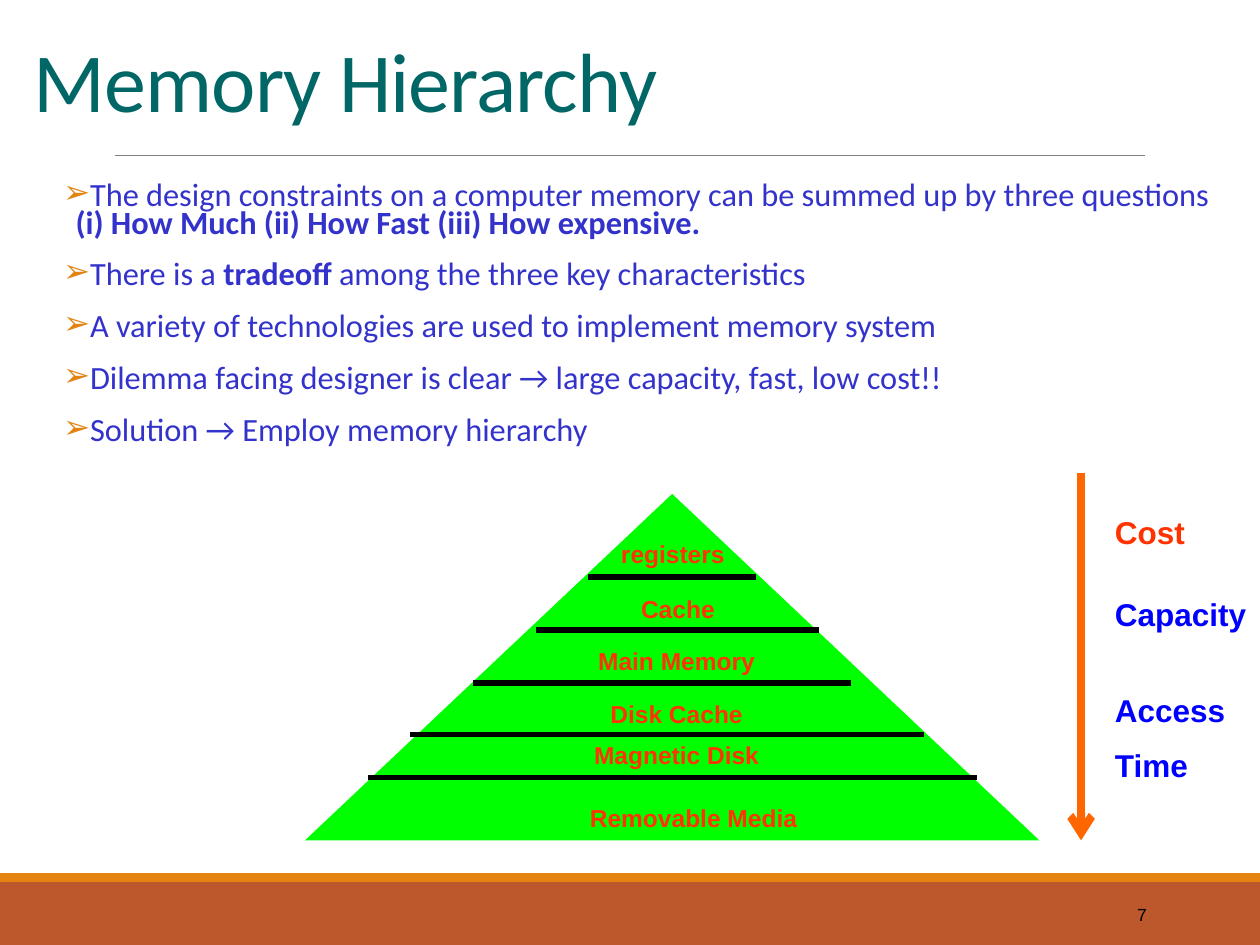
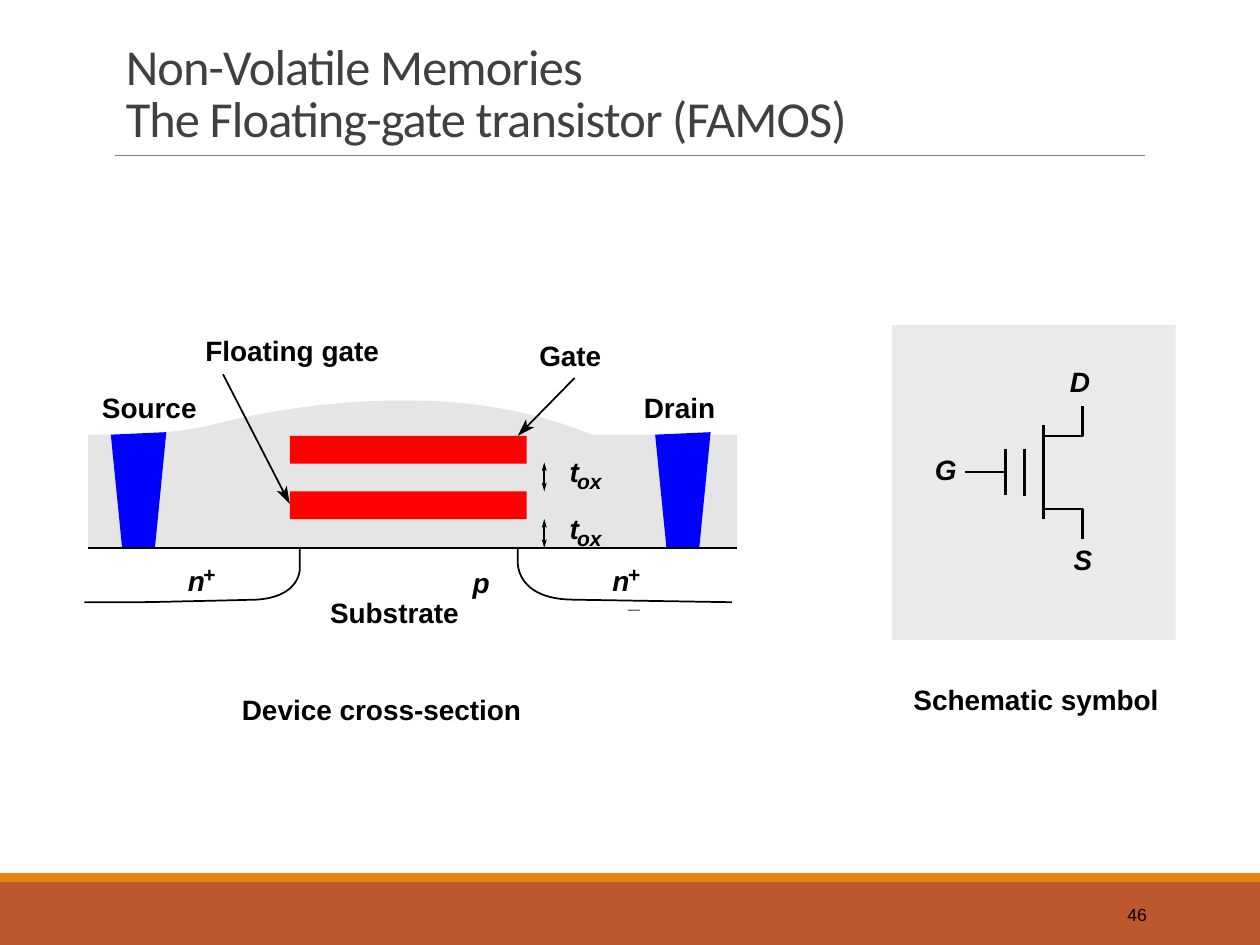
import math
import pptx
import pptx.util
import pptx.dml.color
import pptx.enum.shapes
import pptx.enum.text
from lxml import etree

COLORS = {
    "band": "BD582C", "accent": "E48312", "rule": "808080", "black": "000000",
    "teal": "006666", "title": "404040", "body": "3333CC", "pyramid": "00FF00",
    "red_text": "FF3300", "arrow": "FF6600", "blue": "0000FF", "gate": "FF0000",
    "oxide": "E5E5E5", "panel": "EAEAEA",
}
COLUMNS, ROWS = 100, 75
CELL = pptx.util.Inches(10) // COLUMNS
A = "{http://schemas.openxmlformats.org/drawingml/2006/main}"
PRESETS = pptx.enum.shapes.MSO_SHAPE
ALIGN = pptx.enum.text.PP_ALIGN
ANCHOR = pptx.enum.text.MSO_ANCHOR
PARAGRAPH_KEYS = ("alignment", "line_spacing", "space_before", "space_after")
DIAGRAM = {"name": "Arial", "size": pptx.util.Pt(16), "bold": True}


def cells(*lengths):
    return [round(length * CELL) for length in lengths]


def rgb(color):
    return pptx.dml.color.RGBColor.from_string(COLORS[color])


def paint(shape, fill=None, line=None, weight=1):
    shape.shadow.inherit = False
    if fill:
        shape.fill.solid()
        shape.fill.fore_color.rgb = rgb(fill)
    else:
        shape.fill.background()
    if line:
        shape.line.color.rgb = rgb(line)
        shape.line.width = pptx.util.Pt(weight)
    else:
        shape.line.fill.background()
    return shape


def block(slide, box, fill, preset=PRESETS.RECTANGLE):
    return paint(slide.shapes.add_shape(preset, *cells(*box)), fill)


def stroke(slide, start, end, color="black", weight=1, tip=None):
    """Straight line, with an arrowhead at the end if tip is given."""
    line = slide.shapes.add_connector(pptx.enum.shapes.MSO_CONNECTOR.STRAIGHT,
                                      *cells(*start, *end))
    line.line.color.rgb = rgb(color)
    line.line.width = pptx.util.Pt(weight)
    if tip:
        etree.SubElement(line.line._get_or_add_ln(), A + "tailEnd", type=tip)
    etree.SubElement(line._element.spPr, A + "effectLst")


def bezier(p0, p1, p2, p3, steps=24):
    for i in range(1, steps + 1):
        t = i / steps
        u = 1 - t
        yield tuple(u**3 * a + 3 * u * u * t * b + 3 * u * t * t * c + t**3 * d
                    for a, b, c, d in zip(p0, p1, p2, p3))


def outline(slide, start, parts, fill=None, weight=1):
    """Free outline; a part is a point (x, y) or a curve of three points.

    With a fill it is closed and has no line; without one it is an open line."""
    points = [start]
    for part in parts:
        if isinstance(part[0], tuple):
            points.extend(bezier(points[-1], *part))
        else:
            points.append(part)
    builder = slide.shapes.build_freeform(*cells(*start), scale=1.0)
    builder.add_line_segments([cells(*p) for p in points[1:]], close=bool(fill))
    return paint(builder.convert_to_shape(), fill, None if fill else "black", weight)


def pointer(slide, start, tip, length=1.4, half_width=0.45, both=False):
    """Thin line with a slim, notched head at the tip, or at both ends."""
    reach = math.dist(start, tip)
    along = [(b - a) / reach for a, b in zip(start, tip)]

    def place(end, back, side=0):
        return (end[0] - back * along[0] - side * along[1],
                end[1] - back * along[1] + side * along[0])

    notch = 0.75 * length
    stroke(slide, place(start, -notch) if both else start, place(tip, notch))
    for end, sign in ((tip, 1), (start, -1))[:2 if both else 1]:
        outline(slide, end, [place(end, sign * length, half_width),
                             place(end, sign * notch),
                             place(end, sign * length, -half_width)], "black")


def add_bullet(paragraph):
    properties = paragraph._p.get_or_add_pPr()
    for name, indent in (("marL", 1), ("indent", -1)):
        properties.set(name, str(indent * CELL))
    color = etree.SubElement(properties, A + "buClr")
    etree.SubElement(color, A + "srgbClr", val=COLORS["accent"])
    etree.SubElement(properties, A + "buFont", typeface="Calibri")
    etree.SubElement(properties, A + "buChar", char="➢")


def write(slide, box, paragraphs, color="black", anchor=ANCHOR.TOP, wrap=True,
          margins=None, bullets=False, spacing=None, **style):
    """Text box; a paragraph is a string or a list of (text, bold) runs."""
    frame = slide.shapes.add_textbox(*cells(*box)).text_frame
    frame.word_wrap = wrap
    frame.vertical_anchor = anchor
    if not wrap:
        frame.auto_size = pptx.enum.text.MSO_AUTO_SIZE.SHAPE_TO_FIT_TEXT
    if margins:
        for side, margin in zip(("left", "top", "right", "bottom"), margins):
            setattr(frame, "margin_" + side, round(margin * CELL))
    for i, content in enumerate(paragraphs):
        paragraph = frame.add_paragraph() if i else frame.paragraphs[0]
        if bullets:
            add_bullet(paragraph)
        for key in PARAGRAPH_KEYS:
            if key in style and (i or key != "space_before"):
                setattr(paragraph, key, style[key])
        if isinstance(content, str):
            paragraph.text = content
        else:
            for text, bold in content:
                run = paragraph.add_run()
                run.text, run.font.bold = text, bold
        for run in paragraph.runs:
            for key, value in style.items():
                if key not in PARAGRAPH_KEYS:
                    setattr(run.font, key, value)
            run.font.color.rgb = rgb(color)
            if spacing:
                run._r.get_or_add_rPr().set("spc", str(spacing))


def label(slide, left, top, width, text, small=False, italic=False):
    style = DIAGRAM | {"italic": italic}
    if small:
        style["size"] = pptx.util.Pt(12)
    write(slide, (left, top, width, 2 if small else 2.7), [text], wrap=False,
          margins=(0, 0, 0, 0), **style)


def start_slide(deck, title, title_box, title_size, title_color, number):
    slide = deck.slides.add_slide(deck.slide_layouts[6])
    block(slide, (0, 70, COLUMNS, 5), "band")
    block(slide, (0, 69.3, COLUMNS, 0.7), "accent")
    stroke(slide, (9.1, 12.3), (90.9, 12.3), "rule", 0.5)
    write(slide, title_box, [title], title_color, ANCHOR.BOTTOM, spacing=-50,
          line_spacing=0.85, name="Calibri", size=pptx.util.Pt(title_size))
    write(slide, (81.2, 70.6, 10.8, 4), [str(number)], anchor=ANCHOR.MIDDLE,
          alignment=ALIGN.RIGHT, name="Arial", size=pptx.util.Pt(10))
    return slide


def memory_pyramid(slide):
    block(slide, (24.2, 39.2, 58.3, 27.5), "pyramid", PRESETS.ISOSCELES_TRIANGLE)
    for left, right, y in ((46.7, 60, 45.8), (42.5, 65, 50), (37.5, 67.5, 54.2),
                           (32.5, 73.3, 58.3), (29.2, 77.5, 61.7)):
        stroke(slide, (left, y), (right, y), weight=3)
    for name, left, top, width in (
            ("registers", 46.3, 42.3, 14.2), ("Cache", 46.7, 46.7, 14.2),
            ("Main Memory", 45.8, 50.8, 15.8), ("Disk Cache", 45.8, 55, 15.8),
            ("Magnetic Disk", 45.8, 58.3, 15.8), ("Removable Media", 44.2, 63.3, 21.7)):
        write(slide, (left, top, width, 3.3), [name], "red_text", ANCHOR.BOTTOM,
              alignment=ALIGN.CENTER, **DIAGRAM | {"size": pptx.util.Pt(14)})


def trend_arrow(slide):
    stroke(slide, (85.8, 37.5), (85.8, 66.7), "arrow", 4.5, "arrow")
    for words, top, height, color in ((["Cost"], 40.2, 4, "red_text"),
                                      (["Capacity"], 46.7, 4, "blue"),
                                      (["Access", "Time"], 54.2, 8.5, "blue")):
        write(slide, (87.5, top, 12.5, height), words, color, ANCHOR.BOTTOM,
              space_before=pptx.util.Pt(10), **DIAGRAM | {"size": pptx.util.Pt(18)})


def cross_section(slide):
    surface = 43.5
    outline(slide, (32.8, 31.8), [
        ((41.2, 31.8), (46.9, 34.5), (46.9, 34.5)), (58.5, 34.5), (58.5, surface),
        (7, surface), (7, 34.5), (8.8, 34.5),
        ((8.8, 34.5), (13.9, 34.5), (16.9, 33.7)),
        ((16.9, 33.7), (24.4, 31.6), (32.8, 31.8))], "oxide")
    outline(slide, (41.1, surface), [
        (41.1, 44.6), ((41.1, 44.6), (40.9, 47.6), (45.6, 47.6)), (58.1, 47.8)])
    outline(slide, (23.8, surface), [
        (23.8, 45.1), ((23.8, 45.1), (23.9, 47.4), (20.3, 47.6)),
        ((20.3, 47.6), (12.2, 47.8), (10.9, 47.8)), (6.7, 47.8)])
    for shift in (0, 43.2):
        outline(slide, (9.7 + shift, surface), [
            (8.8 + shift, 34.5), (13.2 + shift, 34.3), (12.3 + shift, surface)], "blue")
    stroke(slide, (7, surface), (58.5, surface))

    for top in (34.6, 39):
        block(slide, (23, top, 18.8, 2.2), "gate")
    pointer(slide, (17.7, 29.7), (23, 40))
    pointer(slide, (45.6, 30), (41.1, 34.6))

    for top in (36.7, 41.2):
        pointer(slide, (43.2, top), (43.2, top + 2.3), 0.7, 0.2, both=True)
        label(slide, 45.2, top - 0.6, 0.9, "t", italic=True)
        label(slide, 45.8, top + 0.5, 2.3, "ox", small=True, italic=True)
    for left, charge in ((14.9, "+"), (48.6, "+_")):
        label(slide, left, 44.7, 1.5, "n", italic=True)
        label(slide, left + 1.25, 44.6, 1.2, charge, small=True)
    label(slide, 37.5, 44.9, 1.5, "p", italic=True)
    for name, left, top, width in (
            ("Floating gate", 16.3, 26.5, 14.5), ("Source", 8.1, 31, 8),
            ("Substrate", 26.2, 47.3, 11), ("Gate", 42.8, 26.9, 5.5),
            ("Drain", 51.1, 31, 6.2), ("Device cross-section", 19.2, 55, 23)):
        label(slide, left, top, width, name)


def schematic_symbol(slide):
    block(slide, (70.8, 25.8, 22.5, 25), "panel")
    channel, terminal = 82.8, 85.9
    for end, bend in ((32.2, 34.6), (42.8, 40.4)):
        outline(slide, (channel, bend), [(terminal, bend), (terminal, end)], weight=1.5)
    for x, top, bottom in ((channel, 33.7, 41.2), (81.3, 35.6, 39.4), (79.8, 35.6, 39.3)):
        stroke(slide, (x, top), (x, bottom), weight=1.5)
    stroke(slide, (76.6, 37.45), (79.8, 37.45), weight=1.5)
    for name, left, top in (("G", 74.2, 35.9), ("S", 85.2, 43.1), ("D", 84.9, 28.9)):
        label(slide, left, top, 1.9, name, italic=True)
    label(slide, 72.5, 54.2, 20, "Schematic symbol")


def main():
    deck = pptx.Presentation()
    deck.slide_width, deck.slide_height = cells(COLUMNS, ROWS)

    hierarchy = start_slide(deck, "Memory Hierarchy", (1.7, 1.6, 85, 9.2), 48, "teal", 7)
    write(hierarchy, (5, 14.2, 92.5, 22.5), [
        [("The design constraints on a computer memory can be summed up by three questions ",
          False), ("(i) How Much (ii) How Fast (iii) How expensive.", True)],
        [("There is a ", False), ("tradeoff", True),
         (" among the three key characteristics", False)],
        "A variety of technologies are used to implement memory system",
        "Dilemma facing designer is clear → large capacity, fast, low cost!!",
        "Solution → Employ memory hierarchy",
    ], "body", margins=(0, 0.5, 0, 0.5), bullets=True, line_spacing=0.7,
        space_before=pptx.util.Pt(12), space_after=pptx.util.Pt(2),
        name="Calibri", size=pptx.util.Pt(18.5))
    memory_pyramid(hierarchy)
    trend_arrow(hierarchy)

    transistor = start_slide(
        deck, "Non-Volatile Memories\vThe Floating-gate transistor (FAMOS)",
        (9, 3.1, 82.5, 9.1), 28.8, "title", 46)
    cross_section(transistor)
    schematic_symbol(transistor)

    deck.save("out.pptx")


if __name__ == "__main__":
    main()
